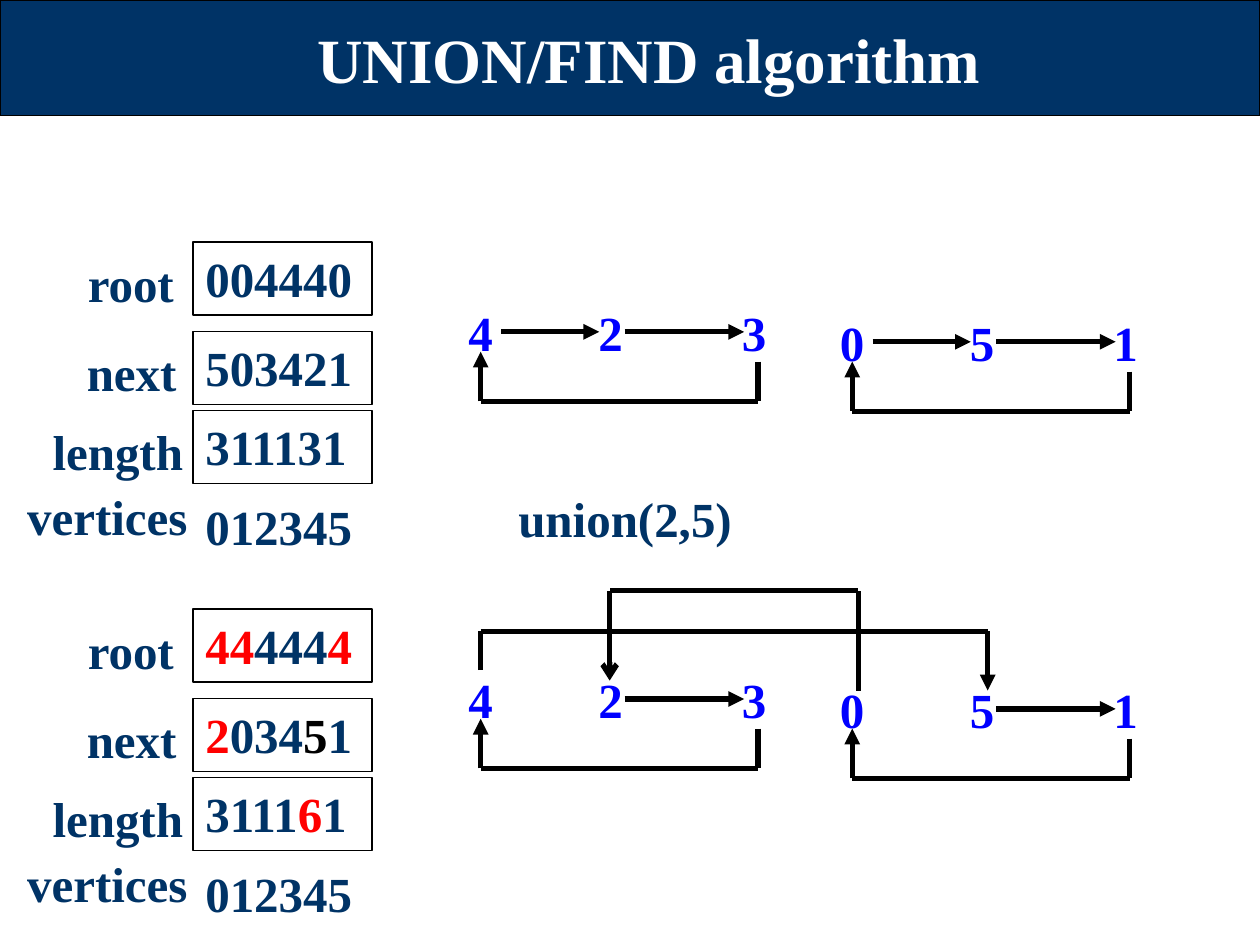
from itertools import pairwise

from lxml import etree
from pptx import Presentation
from pptx.dml.color import RGBColor
from pptx.enum.shapes import MSO_CONNECTOR, MSO_SHAPE
from pptx.enum.text import MSO_ANCHOR, MSO_AUTO_SIZE, PP_ALIGN
from pptx.oxml.ns import qn
from pptx.util import Cm, Pt

RECTANGLE = MSO_SHAPE.RECTANGLE
STRAIGHT = MSO_CONNECTOR.STRAIGHT
TOP, MIDDLE = MSO_ANCHOR.TOP, MSO_ANCHOR.MIDDLE
LEFT, CENTER = PP_ALIGN.LEFT, PP_ALIGN.CENTER
GROW, FIXED = MSO_AUTO_SIZE.SHAPE_TO_FIT_TEXT, MSO_AUTO_SIZE.NONE

FONT = "Times New Roman"
COLORS = {
    "navy": "003366",
    "white": "FFFFFF",
    "black": "000000",
    "blue": "0000FF",
    "red": "FF0000",
}
ROWS = [
    ("root", 1.52, 4.98),
    ("next", 1.5, 6.78),
    ("length", 0.81, 8.38),
]
NODE_OFFSETS = (0, 2.62, 5.51)
BEFORE = ["004440", "503421", "311131"]
AFTER = [
    [("44", "red"), ("444", "navy"), ("4", "red")],
    [("2", "red"), ("034", "navy"), ("5", "black"), ("1", "navy")],
    [("3111", "navy"), ("6", "red"), ("1", "navy")],
]
STATE_SHIFT = 7.4
RING_X, RING_Y = 9.69, 6.69
RING_STEP_X, RING_STEP_Y = 7.49, 0.2


def color(name):
    return RGBColor.from_string(COLORS[name])


def write_text(shape, text, size=28, ink="navy", align=LEFT, anchor=TOP,
               wrap=True, fit=GROW):
    frame = shape.text_frame
    frame.word_wrap = wrap
    frame.auto_size = fit
    frame.vertical_anchor = anchor
    para = frame.paragraphs[0]
    para.alignment = align
    spans = [(text, ink)] if isinstance(text, str) else text
    for words, name in spans:
        span = para.add_run()
        span.text = words
        span.font.name = FONT
        span.font.size = Pt(size)
        span.font.bold = True
        span.font.color.rgb = color(name)


def add_text(page, text, left, top, width, height=1.45, **style):
    box = page.shapes.add_textbox(Cm(left), Cm(top), Cm(width), Cm(height))
    write_text(box, text, **style)


def add_box(page, left, top, width, height, fill=None):
    box = page.shapes.add_shape(RECTANGLE, Cm(left), Cm(top), Cm(width), Cm(height))
    box.shadow.inherit = False
    if fill:
        box.fill.solid()
        box.fill.fore_color.rgb = color(fill)
    else:
        box.fill.background()
    box.line.color.rgb = color("black")
    box.line.width = Pt(0.75)
    return box


def add_route(page, points, head="triangle"):
    for start, end in pairwise(points):
        line = page.shapes.add_connector(STRAIGHT, *map(Cm, start + end))
        line.line.color.rgb = color("black")
        line.line.width = Pt(3)
        etree.SubElement(line._element.spPr, qn("a:effectLst"))
    etree.SubElement(line.line._get_or_add_ln(), qn("a:tailEnd"), type=head)


def add_arrays(page, values, shift):
    for (label, left, top), value in zip(ROWS, values):
        add_text(page, label, left, top + shift, 4.57)
        write_text(add_box(page, 3.89, top - 0.1 + shift, 3.61, 1.47), value)
    add_text(page, "vertices", 0.3, 9.68 + shift, 8.61)
    add_text(page, "012345", 3.89, 9.88 + shift, 7.59)


def add_ring(page, nodes, x, y, first_link=True):
    for node, offset in zip(nodes, NODE_OFFSETS):
        add_text(page, node, x + offset - 0.6, y - 0.8, 1.2, 1.6, ink="blue",
                 align=CENTER, anchor=MIDDLE, wrap=False, fit=FIXED)
    if first_link:
        add_route(page, [(x + 0.41, y), (x + 2.39, y)])
    add_route(page, [(x + 2.9, y), (x + 5.31, y)])
    add_route(page, [(x + 5.59, y + 0.6), (x + 5.59, y + 1.4),
                     (x, y + 1.4), (x, y + 0.4)])


def add_state(page, values, shift, separate):
    add_arrays(page, values, shift)
    for index, nodes in enumerate(("423", "051")):
        add_ring(page, nodes, RING_X + index * RING_STEP_X,
                 RING_Y + index * RING_STEP_Y + shift, first_link=separate)


def main():
    deck = Presentation()
    deck.slide_width, deck.slide_height = Cm(25.4), Cm(19.05)
    page = deck.slides.add_slide(deck.slide_layouts[6])

    add_box(page, 0, 0, 25.4, 2.33, fill="navy")
    add_text(page, "UNION/FIND algorithm", 2.29, 0.33, 21.59, 1.7, size=36,
             ink="white", align=CENTER, anchor=MIDDLE, fit=FIXED)

    add_state(page, BEFORE, 0, separate=True)
    add_text(page, "union(2,5)", 9.91, 9.73, 5.38, align=CENTER)
    add_state(page, AFTER, STATE_SHIFT, separate=False)
    add_route(page, [(RING_X, 13.51), (RING_X, 12.73), (19.91, 12.73), (19.91, 13.92)])
    add_route(page, [(17.3, 13.92), (17.3, 11.91), (12.29, 11.91), (12.29, 13.72)],
              head="arrow")

    deck.save("out.pptx")


if __name__ == "__main__":
    main()
